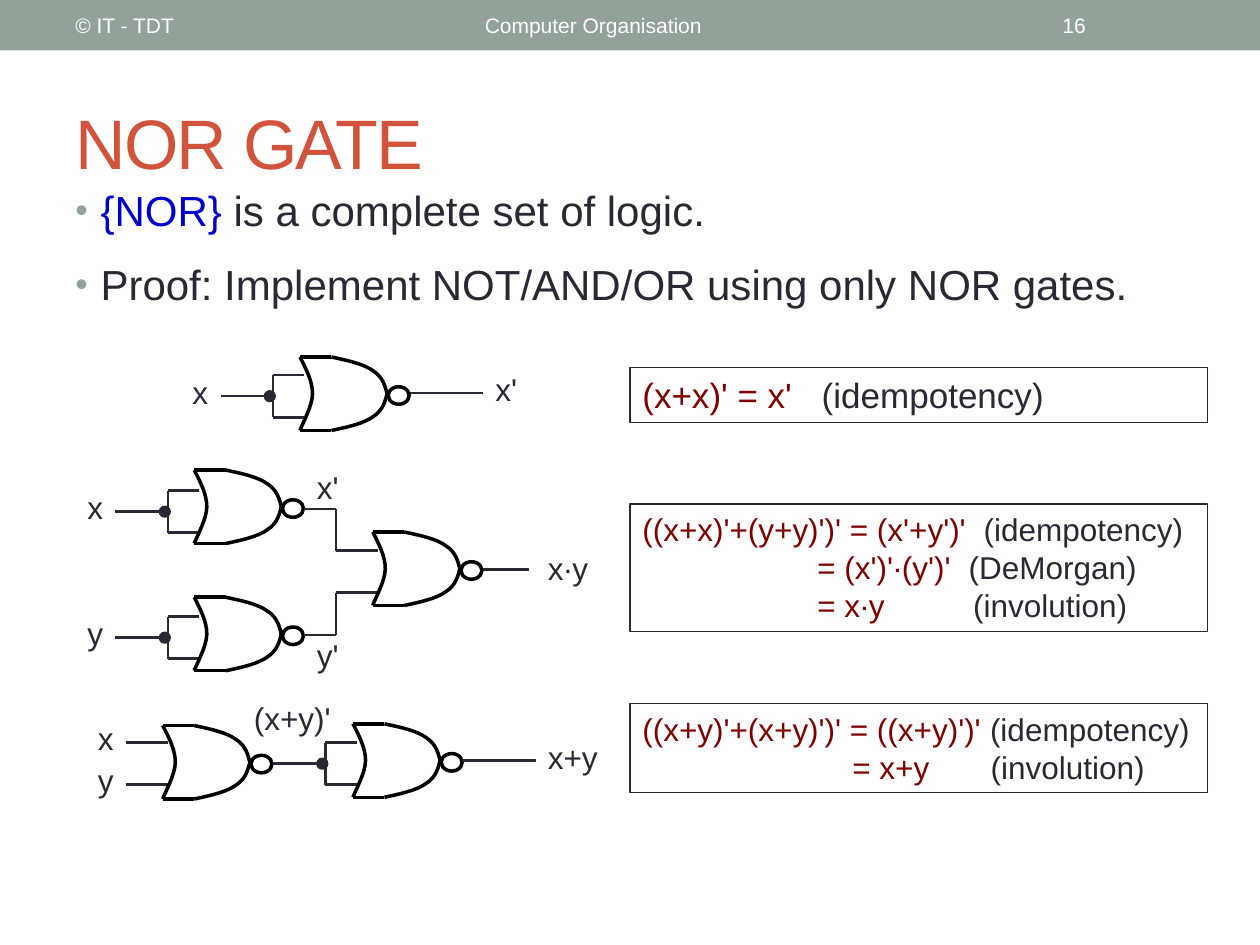
from dataclasses import dataclass
from itertools import pairwise

from lxml.etree import SubElement
from pptx import Presentation
from pptx.dml.color import RGBColor as Rgb
from pptx.enum.shapes import MSO_CONNECTOR as Connector, MSO_SHAPE as Preset
from pptx.enum.text import MSO_ANCHOR as Anchor, PP_ALIGN as Align
from pptx.oxml.ns import qn
from pptx.util import Pt


@dataclass(frozen=True)
class Theme:
    font: str = "Arial"
    band: Rgb = Rgb(0x93, 0xA2, 0x99)
    white: Rgb = Rgb(0xFF, 0xFF, 0xFF)
    title: Rgb = Rgb(0xD2, 0x53, 0x3C)
    ink: Rgb = Rgb(0x29, 0x29, 0x34)
    term: Rgb = Rgb(0x00, 0x00, 0xCC)
    formula: Rgb = Rgb(0x80, 0x00, 0x00)
    gate: Rgb = Rgb(0x00, 0x00, 0x00)
    header_size: float = 12
    title_size: float = 40
    body_size: float = 24
    law_size: float = 20
    label_size: float = 18
    box_line: float = 0.75
    dot_line: float = 1
    wire_line: float = 1.5
    gate_line: float = 2


THEME = Theme()
GATE_HEIGHT = 42
GATE_BACK = [(0, 0), (3.6, 7), (7.2, 14), (7.2, 21), (7.2, 28), (1.2, 38.5), (0, 42)]
GATE_TOP = [(18, 0), (27.4, 2), (36.7, 4), (42, 8), (47.5, 11.5), (49, 17), (50.2, 23)]
GATE_BOTTOM = [(x, GATE_HEIGHT - y) for x, y in GATE_TOP]


def add_run(paragraph, text, size, color):
    run = paragraph.add_run()
    run.text = text
    run.font.name = THEME.font
    run.font.size = Pt(size)
    run.font.color.rgb = color
    return run


def add_text(shapes, left, top, width, height, anchor=Anchor.TOP):
    frame = shapes.add_textbox(Pt(left), Pt(top), Pt(width), Pt(height)).text_frame
    frame.word_wrap = True
    frame.vertical_anchor = anchor
    return frame


def add_label(shapes, left, top, width, text, align=Align.LEFT):
    paragraph = add_text(shapes, left, top, width, 29).paragraphs[0]
    paragraph.alignment = align
    add_run(paragraph, text, THEME.label_size, THEME.ink)


def add_preset(shapes, preset, left, top, width, height, fill=None, line=None, weight=0):
    shape = shapes.add_shape(preset, Pt(left), Pt(top), Pt(width), Pt(height))
    shape.shadow.inherit = False
    if fill is None:
        shape.fill.background()
    else:
        shape.fill.solid()
        shape.fill.fore_color.rgb = fill
    if line is None:
        shape.line.fill.background()
    else:
        shape.line.color.rgb = line
        shape.line.width = Pt(weight)
    return shape


def add_wire(shapes, *points, color=THEME.ink, weight=THEME.wire_line):
    for (x1, y1), (x2, y2) in pairwise(points):
        wire = shapes.add_connector(Connector.STRAIGHT, Pt(x1), Pt(y1), Pt(x2), Pt(y2))
        wire.line.color.rgb = color
        wire.line.width = Pt(weight)
        SubElement(wire._element.spPr, qn("a:effectLst"))


def add_curve(shapes, points):
    start, *controls = [(Pt(x), Pt(y)) for x, y in points]
    builder = shapes.build_freeform(*start)
    builder.add_line_segments(controls, close=False)
    curve = builder.convert_to_shape()
    outline = curve._element.find(".//" + qn("a:path"))
    segments = outline.findall(qn("a:lnTo"))
    for first in range(0, len(segments), 3):
        bezier = SubElement(outline, qn("a:cubicBezTo"))
        for segment in segments[first:first + 3]:
            bezier.append(segment[0])
            outline.remove(segment)
    curve.shadow.inherit = False
    curve.fill.background()
    curve.line.color.rgb = THEME.gate
    curve.line.width = Pt(THEME.gate_line)


def add_nor(shapes, left, top):
    for profile in (GATE_BACK, GATE_TOP, GATE_BOTTOM):
        add_curve(shapes, [(left + x, top + y) for x, y in profile])
    for edge in (top, top + GATE_HEIGHT):
        add_wire(shapes, (left, edge), (left + 18, edge),
                 color=THEME.gate, weight=THEME.gate_line)
    add_preset(shapes, Preset.OVAL, left + 50.4, top + 17, 12, 10,
               line=THEME.gate, weight=THEME.gate_line)


def add_tied_input(shapes, start, tie, y):
    add_wire(shapes, (start, y), (tie, y))
    add_wire(shapes, (tie + 18, y - 12), (tie, y - 12), (tie, y + 12), (tie + 18, y + 12))
    add_preset(shapes, Preset.OVAL, tie - 4.8, y - 3, 6, 6,
               fill=THEME.ink, line=THEME.ink, weight=THEME.dot_line)


def add_input_name(shapes, wire_start, y, name):
    add_label(shapes, wire_start - 24, y - 17, 24, name, Align.RIGHT)


def draw_not(shapes):
    add_input_name(shapes, 126, 226.4, "x")
    add_tied_input(shapes, 126, 156, 226.4)
    add_nor(shapes, 171.4, 204)
    add_wire(shapes, (234, 224.6), (276, 224.6))
    add_label(shapes, 276, 208, 36, "x'")


def draw_and(shapes):
    branches = [("x", 292.4, 268.6, 314.6, 264), ("y", 364.4, 341.3, 338.6, 360)]
    for name, y, gate_top, join_y, inverted_top in branches:
        add_input_name(shapes, 66, y, name)
        add_tied_input(shapes, 66, 96, y)
        add_nor(shapes, 111, gate_top)
        add_wire(shapes, (174, y - 1.5), (192, y - 1.5), (192, join_y), (216, join_y))
        add_label(shapes, 174, inverted_top, 30, name + "'")
    add_nor(shapes, 213, 304)
    add_wire(shapes, (276, 325.5), (302.4, 325.5))
    add_label(shapes, 306, 310.3, 48, "x∙y")


def draw_or(shapes):
    for name, y in (("x", 424.4), ("y", 448.4)):
        add_input_name(shapes, 72, y, name)
        add_wire(shapes, (72, y), (96, y))
    add_nor(shapes, 93, 414.6)
    add_label(shapes, 138, 396, 60, "(x+y)'")
    add_tied_input(shapes, 156, 186, 436.4)
    add_nor(shapes, 201.7, 413.6)
    add_wire(shapes, (264, 434.6), (306, 434.6))
    add_label(shapes, 306, 418.4, 48, "x+y")


def add_proof(shapes, top, height, size, steps):
    box = add_preset(shapes, Preset.RECTANGLE, 360, top, 330, height,
                     line=THEME.ink, weight=THEME.box_line)
    frame = box.text_frame
    frame.word_wrap = True
    frame.vertical_anchor = Anchor.TOP
    for index, (stops, formula, law) in enumerate(steps):
        step = frame.add_paragraph() if index else frame.paragraphs[0]
        step.alignment = Align.LEFT
        tabs = SubElement(step._p.get_or_add_pPr(), qn("a:tabLst"))
        for stop in stops:
            SubElement(tabs, qn("a:tab"), pos=str(Pt(stop)), algn="l")
        add_run(step, formula, size, THEME.formula)
        add_run(step, law, size, THEME.ink)


def add_bullet(paragraph, runs):
    properties = paragraph._p.get_or_add_pPr()
    properties.set("marL", str(Pt(14.4)))
    properties.set("indent", str(Pt(-14.4)))
    color = SubElement(properties, qn("a:buClr"))
    SubElement(color, qn("a:srgbClr"), val=str(THEME.band))
    SubElement(properties, qn("a:buSzPct"), val="85000")
    SubElement(properties, qn("a:buFont"), typeface=THEME.font)
    SubElement(properties, qn("a:buChar"), char="•")
    for text, ink in runs:
        add_run(paragraph, text, THEME.body_size, ink)


def add_header(shapes):
    add_preset(shapes, Preset.RECTANGLE, 0, 0, 720, 28.8, fill=THEME.band)
    for left, width, text in ((36, 228, "© IT - TDT"),
                              (270, 324, "Computer Organisation"),
                              (600, 84, "16")):
        frame = add_text(shapes, left, 1.44, width, 26, Anchor.MIDDLE)
        add_run(frame.paragraphs[0], text, THEME.header_size, THEME.white)


def add_statement(shapes):
    heading = add_text(shapes, 36, 42, 648, 78, Anchor.MIDDLE).paragraphs[0]
    title = add_run(heading, "NOR GATE", THEME.title_size, THEME.title)
    title.font._element.set("spc", "-100")
    body = add_text(shapes, 36, 102, 648, 96)
    add_bullet(body.paragraphs[0], [("{NOR} ", THEME.term),
                                    ("is a complete set of logic.", THEME.ink)])
    proof = body.add_paragraph()
    proof.space_before = Pt(13.5)
    add_bullet(proof, [("Proof: Implement NOT/AND/OR using only NOR gates.", THEME.ink)])


def main():
    deck = Presentation()
    deck.slide_width, deck.slide_height = Pt(720), Pt(540)
    shapes = deck.slides.add_slide(deck.slide_layouts[6]).shapes
    add_header(shapes)
    add_statement(shapes)
    add_proof(shapes, 210, 31.7, THEME.law_size,
              [([102.5], "(x+x)' = x'", "\t(idempotency)")])
    add_proof(shapes, 288, 72.7, THEME.label_size,
              [([195], "((x+x)'+(y+y)')' = (x'+y')'", "\t(idempotency)"),
               ([100, 186.5], "\t= (x')'∙(y')'", "\t(DeMorgan)"),
               ([100, 189], "\t= x∙y", "\t(involution)")])
    add_proof(shapes, 402, 51, THEME.label_size,
              [([], "((x+y)'+(x+y)')' = ((x+y)')'", " (idempotency)"),
               ([120, 199], "\t= x+y", "\t(involution)")])
    for draw in (draw_not, draw_and, draw_or):
        draw(shapes.add_group_shape().shapes)
    deck.save("out.pptx")


if __name__ == "__main__":
    main()
